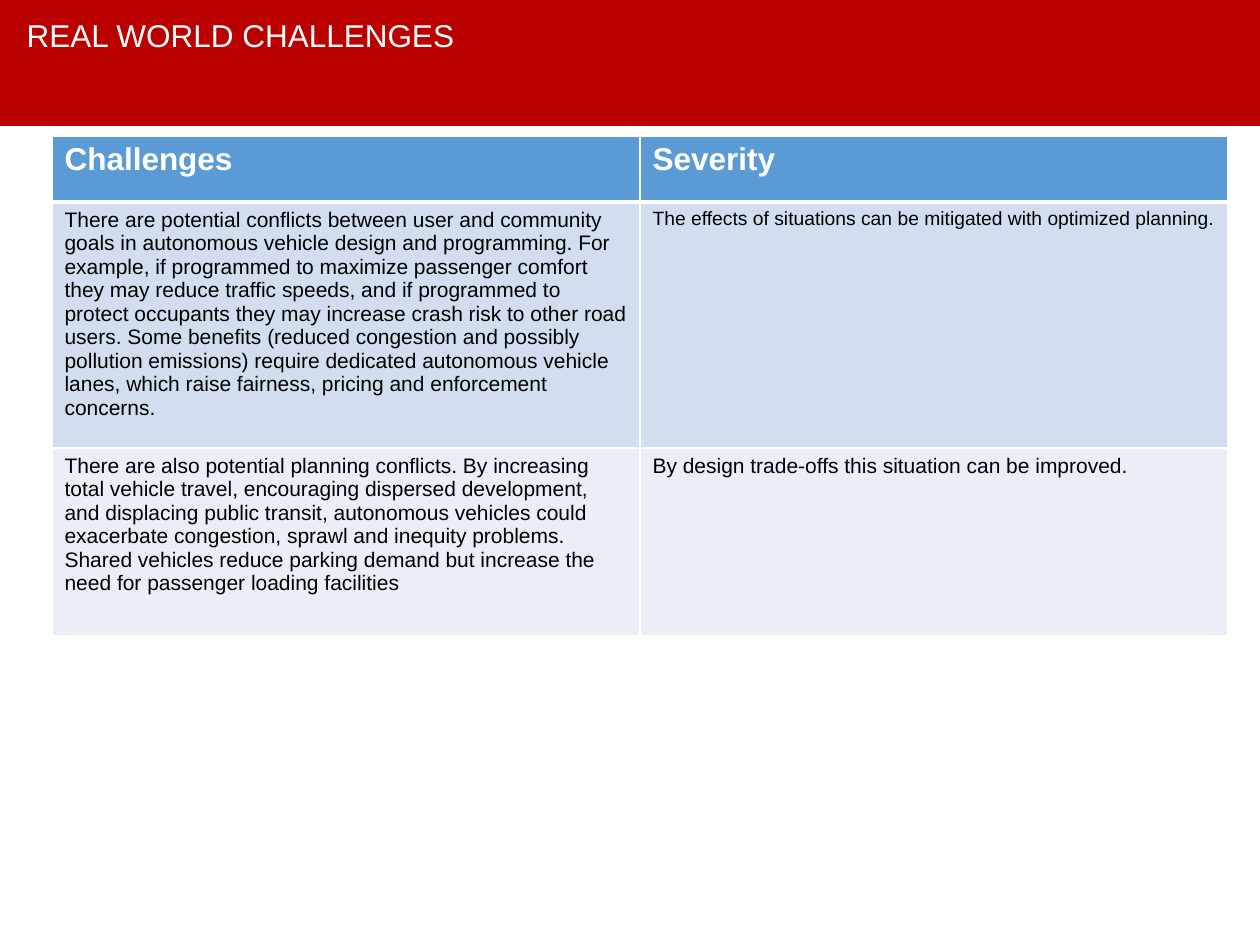
from dataclasses import dataclass
from typing import Any

from lxml.etree import SubElement
from pptx import Presentation
from pptx.dml.color import RGBColor
from pptx.enum.shapes import MSO_SHAPE as Shape
from pptx.enum.text import MSO_ANCHOR as Anchor, MSO_AUTO_SIZE as AutoSize, PP_ALIGN as Align
from pptx.oxml.ns import qn
from pptx.util import Emu, Pt

CHALLENGES = [
    ("There are potential conflicts between user and community goals in autonomous vehicle "
     "design and programming. For example, if programmed to maximize passenger comfort they "
     "may reduce traffic speeds, and if programmed to protect occupants they may increase "
     "crash risk to other road users. Some benefits (reduced congestion and possibly "
     "pollution emissions) require dedicated autonomous vehicle lanes, which raise fairness, "
     "pricing and enforcement concerns.",
     "The effects of situations can be mitigated with optimized planning."),
    ("There are also potential planning conflicts. By increasing total vehicle travel, "
     "encouraging dispersed development, and displacing public transit, autonomous vehicles "
     "could exacerbate congestion, sprawl and inequity problems. Shared vehicles reduce "
     "parking demand but increase the need for passenger loading facilities",
     "By design trade-offs this situation can be improved."),
]


def px(length):
    return Emu(round(length * 914400 / 126))


def rgb(value):
    return RGBColor.from_string(value)


@dataclass
class Deck:
    """Holds the style and the current slide."""
    slide: Any
    typeface: str = "Arial"
    white: str = "FFFFFF"
    black: str = "000000"
    red: str = "BB0000"
    header_blue: str = "5B9BD5"
    bands: tuple = ("D2DEEF", "EAEFF7")

    def style(self, paragraph, size, color, bold=False):
        font = paragraph.font
        font.name, font.size, font.bold = self.typeface, Pt(size), bold
        font.color.rgb = rgb(color)

    def banner(self, left, top, width, height):
        band = self.slide.shapes.add_shape(
            Shape.RECTANGLE, px(left), px(top), px(width), px(height))
        band.shadow.inherit = False
        band.fill.solid()
        band.fill.fore_color.rgb = rgb(self.red)
        band.line.fill.background()
        self.slide.shapes._spTree.insert(2, band._element)

    def title(self, text, left, top, width, height):
        heading = self.slide.shapes.title
        heading.left, heading.top = px(left), px(top)
        heading.width, heading.height = px(width), px(height)
        frame = heading.text_frame
        frame.text = text
        frame.word_wrap = True
        frame.auto_size = AutoSize.NONE
        frame.vertical_anchor = Anchor.TOP
        line = frame.paragraphs[0]
        line.alignment = Align.LEFT
        line.line_spacing = 0.9
        self.style(line, 18, self.white)

    def borders(self, cell, **widths):
        properties = cell._tc.get_or_add_tcPr()
        for side in "LRTB":
            edge = SubElement(properties, qn(f"a:ln{side}"), w=str(Pt(widths.get(side, 1))))
            SubElement(SubElement(edge, qn("a:solidFill")), qn("a:srgbClr"), val=self.white)

    def cell(self, cell, text, fill, size, color, bold=False, **widths):
        self.borders(cell, **widths)
        cell.fill.solid()
        cell.fill.fore_color.rgb = rgb(fill)
        cell.text = text
        self.style(cell.text_frame.paragraphs[0], size, color, bold)

    def table(self, headers, rows, sizes, left, top, width, heights):
        grid = self.slide.shapes.add_table(
            len(heights), len(headers), px(left), px(top), px(width), px(sum(heights))).table
        for column in grid.columns:
            column.width = px(width // len(headers))
        for row, height in zip(grid.rows, heights):
            row.height = px(height)
        for c, header in enumerate(headers):
            self.cell(grid.cell(0, c), header, self.header_blue, 18, self.white, True, B=3)
        for r, (texts, row_sizes) in enumerate(zip(rows, sizes)):
            for c, (text, size) in enumerate(zip(texts, row_sizes)):
                self.cell(grid.cell(r + 1, c), text, self.bands[r % 2], size, self.black,
                          T=1 if r else 3)


def main():
    presentation = Presentation()
    presentation.slide_width, presentation.slide_height = px(1260), px(945)
    deck = Deck(presentation.slides.add_slide(presentation.slide_layouts[5]))
    deck.banner(0, 0, 1260, 126)
    deck.title("REAL WORLD CHALLENGES", 14, 14, 730, 92)
    deck.table(("Challenges", "Severity"), CHALLENGES, ((12, 11), (12, 12)),
               52, 136, 1176, (66, 246, 188))
    presentation.save("out.pptx")


if __name__ == "__main__":
    main()
